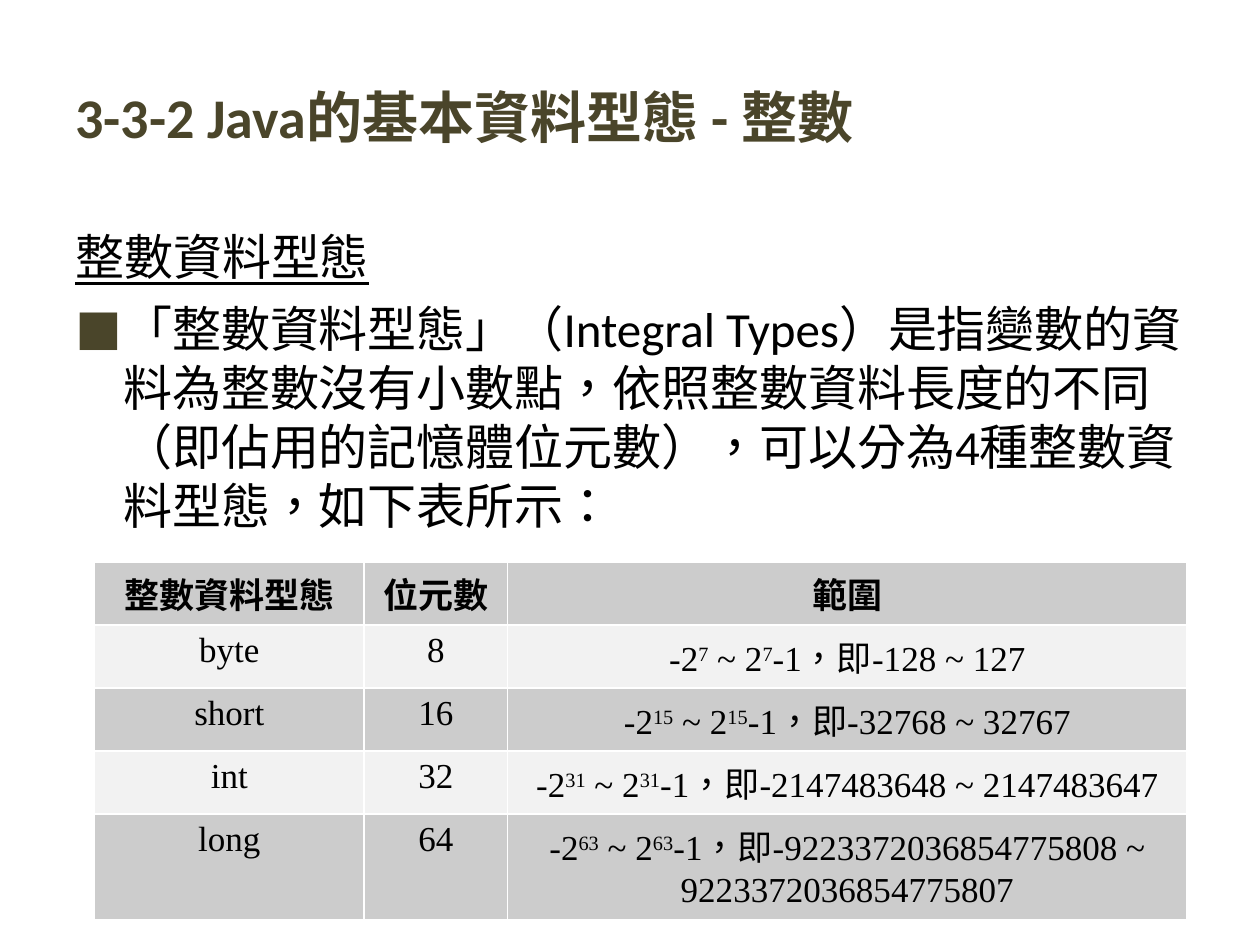
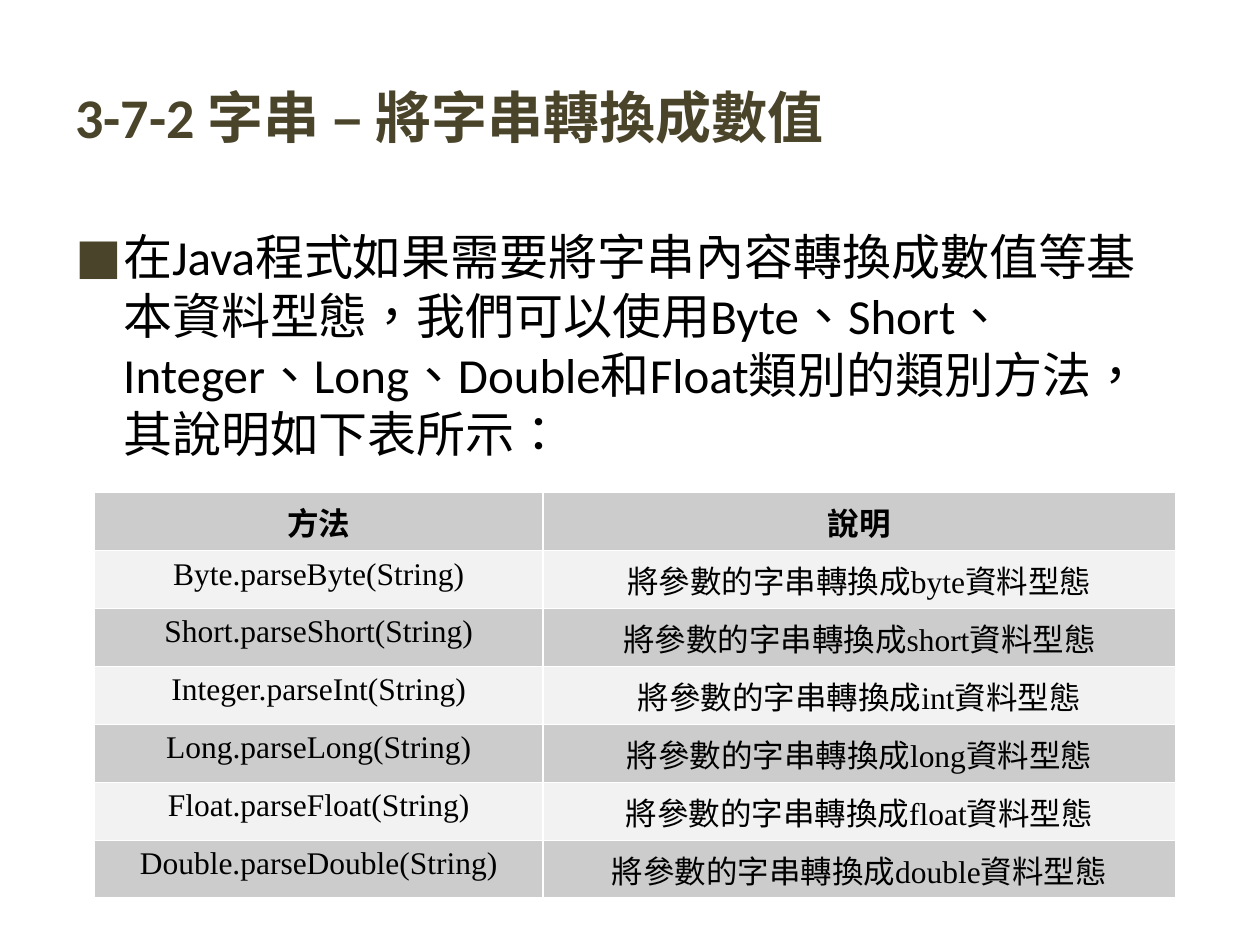
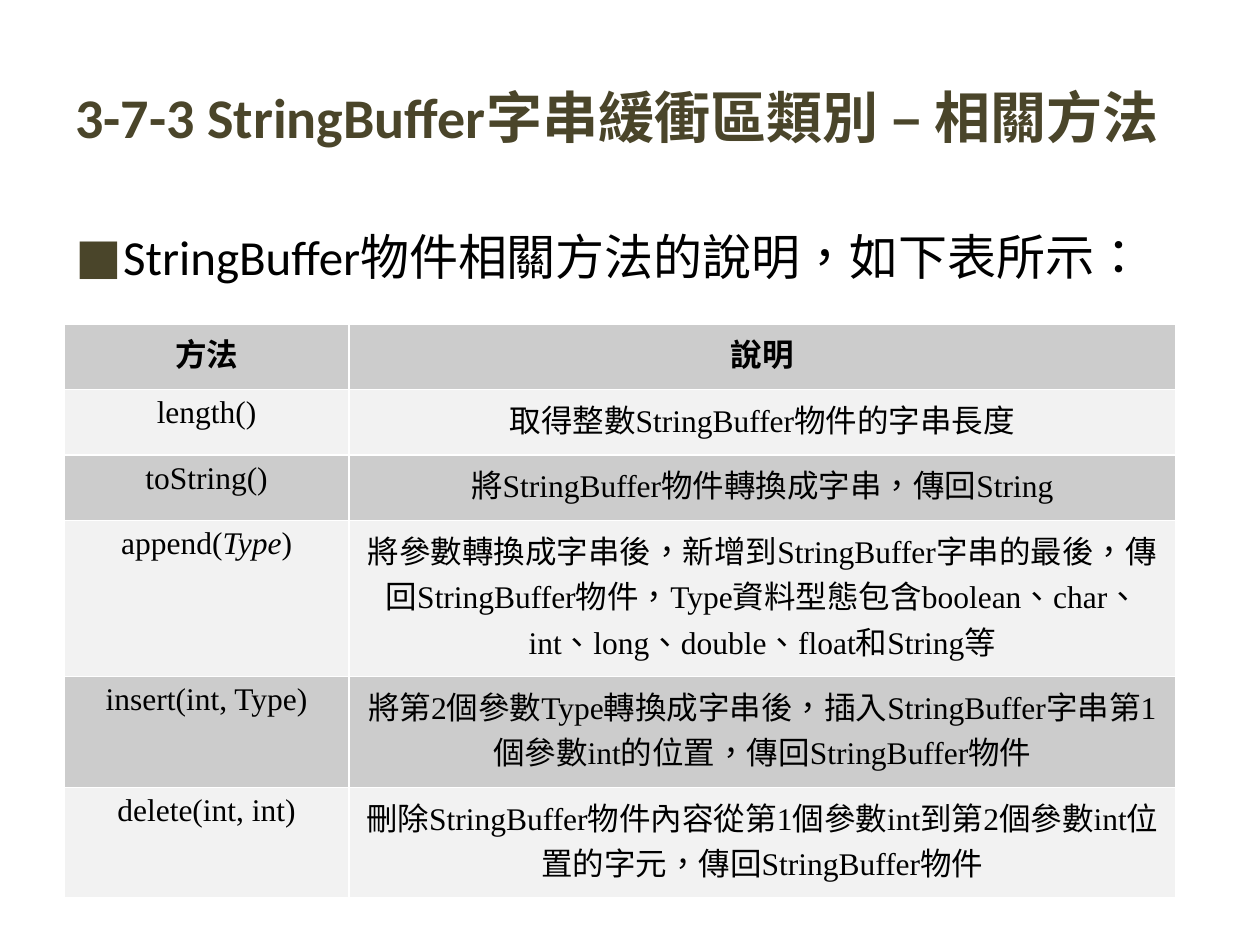
from lxml import etree
from pptx import Presentation
from pptx.dml.color import RGBColor
from pptx.enum.lang import MSO_LANGUAGE_ID as LANG
from pptx.enum.text import MSO_ANCHOR as ANCHOR, PP_ALIGN as ALIGN
from pptx.oxml.ns import qn
from pptx.util import Inches, Pt

COLORS = {"accent": "4A452A", "text": "000000", "dark_row": "CCCCCC",
          "light_row": "F2F2F2", "border": "FFFFFF"}
HEAD_FONT, CELL_FONT = "Calibri", "Times New Roman"


def add_run(p, text, size, font, color="text", bold=False, style=""):
    """Add a run; style is "", "underline", "italic" or "super"."""
    r = p.add_run()
    r.text = text
    r.font.size, r.font.name, r.font.bold = Pt(size), font, bold
    r.font.color.rgb = RGBColor.from_string(COLORS[color])
    r.font.language_id = LANG.TRADITIONAL_CHINESE
    if style == "underline":
        r.font.underline = True
    elif style == "italic":
        r.font.italic = True
    elif style == "super":
        r._r.get_or_add_rPr().set("baseline", "30000")


def add_color(parent, tag, color):
    holder = etree.SubElement(parent, qn(tag))
    etree.SubElement(holder, qn("a:srgbClr")).set("val", COLORS[color])
    return holder


integer_types = [
    ("byte", 8, "-128 ~ 127"),
    ("short", 16, "-32768 ~ 32767"),
    ("int", 32, "-2147483648 ~ 2147483647"),
    ("long", 64, "-9223372036854775808 ~ 9223372036854775807"),
]
integer_rows = [
    (name, str(bits), [("-2", ""), (str(bits - 1), "super"), (" ~ 2", ""),
                       (str(bits - 1), "super"), (f"-1，即{limits}", "")])
    for name, bits, limits in integer_types
]
parse_rows = [
    (f"{cls}.parse{name}(String)", f"將參數的字串轉換成{name.lower()}資料型態")
    for cls, name in [("Byte", "Byte"), ("Short", "Short"), ("Integer", "Int"),
                      ("Long", "Long"), ("Float", "Float"), ("Double", "Double")]
]
buffer_rows = [
    ("length()", "取得整數StringBuffer物件的字串長度"),
    ("toString()", "將StringBuffer物件轉換成字串，傳回String"),
    ([("append(", ""), ("Type", "italic"), (")", "")],
     "將參數轉換成字串後，新增到StringBuffer字串的最後，傳回StringBuffer物件，"
     "Type資料型態包含boolean、char、int、long、double、float和String等"),
    ("insert(int, Type)",
     "將第2個參數Type轉換成字串後，插入StringBuffer字串第1個參數int的位置，"
     "傳回StringBuffer物件"),
    ("delete(int, int)",
     "刪除StringBuffer物件內容從第1個參數int到第2個參數int位置的字元，"
     "傳回StringBuffer物件"),
]

slides = [
    {"title": "3-3-2 Java的基本資料型態 - 整數",
     "subhead": "整數資料型態",
     "bullet": "「整數資料型態」（Integral Types）是指變數的資料為整數沒有小數點，"
               "依照整數資料長度的不同（即佔用的記憶體位元數），"
               "可以分為4種整數資料型態，如下表所示：",
     "at": (0.75, 4.46), "size": 20,
     "cols": [2.14, 1.14, 5.39], "heights": [0.5] * 4 + [0.84],
     "rows": [("整數資料型態", "位元數", "範圍")] + integer_rows},
    {"title": "3-7-2 字串 – 將字串轉換成數值",
     "bullet": "在Java程式如果需要將字串內容轉換成數值等基本資料型態，"
               "我們可以使用Byte、Short、Integer、Long、Double和Float類別的類別方法，"
               "其說明如下表所示：",
     "at": (0.75, 3.91), "size": 18,
     "cols": [3.56, 5.02], "heights": [0.46] * 7,
     "rows": [("方法", "說明")] + parse_rows},
    {"title": "3-7-3 StringBuffer字串緩衝區類別 – 相關方法",
     "bullet": "StringBuffer物件相關方法的說明，如下表所示：",
     "at": (0.51, 2.57), "size": 18,
     "cols": [2.26, 6.56], "heights": [0.52] * 3 + [1.24] + [0.88] * 2,
     "rows": [("方法", "說明")] + buffer_rows},
]

prs = Presentation()
prs.slide_width, prs.slide_height = Inches(10), Inches(7.5)

for data in slides:
    s = prs.slides.add_slide(prs.slide_layouts[6])

    # Title
    tf = s.shapes.add_textbox(Inches(0.5), Inches(0.3), Inches(9), Inches(1.25)).text_frame
    tf.word_wrap, tf.vertical_anchor = True, ANCHOR.MIDDLE
    add_run(tf.paragraphs[0], data["title"], 32, HEAD_FONT, "accent", bold=True)

    # Body: optional underlined subhead, then one bullet
    tf = s.shapes.add_textbox(Inches(0.5), Inches(1.75), Inches(9), Inches(4.95)).text_frame
    tf.word_wrap = True
    p = tf.paragraphs[0]
    if "subhead" in data:
        add_run(p, data["subhead"], 28, HEAD_FONT, style="underline")
        p = tf.add_paragraph()
    add_run(p, data["bullet"], 28, HEAD_FONT)
    for para in tf.paragraphs:
        para.space_before, para.line_spacing = Pt(7), Pt(33.7)
    pPr = p._p.get_or_add_pPr()
    pPr.set("marL", str(Inches(0.38)))
    pPr.set("indent", str(-Inches(0.38)))
    add_color(pPr, "a:buClr", "accent")
    etree.SubElement(pPr, qn("a:buFont")).set("typeface", HEAD_FONT)
    etree.SubElement(pPr, qn("a:buChar")).set("char", "■")

    # Table
    left, top = data["at"]
    table = s.shapes.add_table(
        len(data["rows"]), len(data["cols"]), Inches(left), Inches(top),
        Inches(sum(data["cols"])), Inches(sum(data["heights"]))).table
    for column, width in zip(table.columns, data["cols"]):
        column.width = Inches(width)
    for i, (row, height) in enumerate(zip(data["rows"], data["heights"])):
        table.rows[i].height = Inches(height)
        for j, content in enumerate(row):
            cell = table.cell(i, j)
            tcPr = cell._tc.get_or_add_tcPr()
            for side in ("a:lnL", "a:lnR", "a:lnT", "a:lnB"):
                add_color(tcPr, side, "border").set("w", str(Pt(0.96)))
            for ln in tcPr:
                etree.SubElement(ln, qn("a:solidFill")).append(ln[0])
            cell.fill.solid()
            cell.fill.fore_color.rgb = RGBColor.from_string(
                COLORS["light_row" if i % 2 else "dark_row"])
            p = cell.text_frame.paragraphs[0]
            p.alignment = ALIGN.CENTER
            pieces = [(content, "")] if isinstance(content, str) else content
            for text, style in pieces:
                add_run(p, text, data["size"], CELL_FONT, bold=i == 0, style=style)

prs.save("out.pptx")
